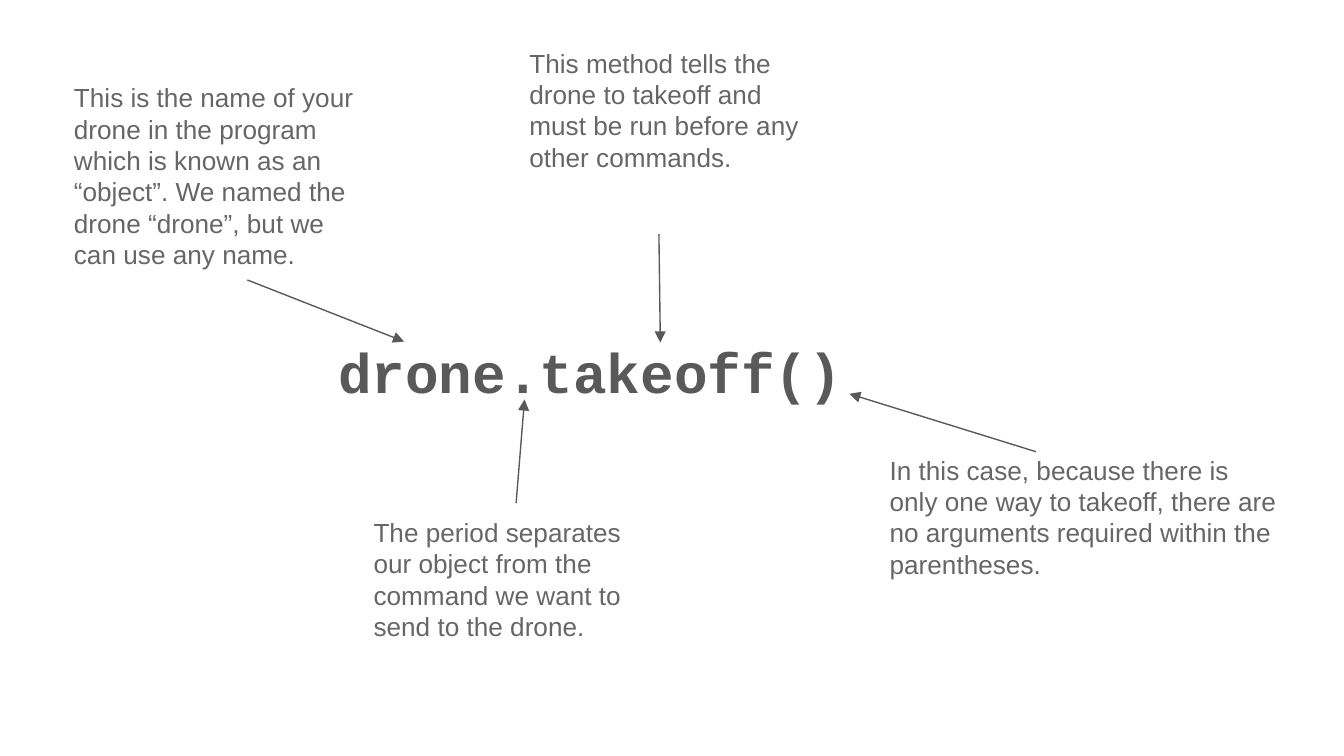
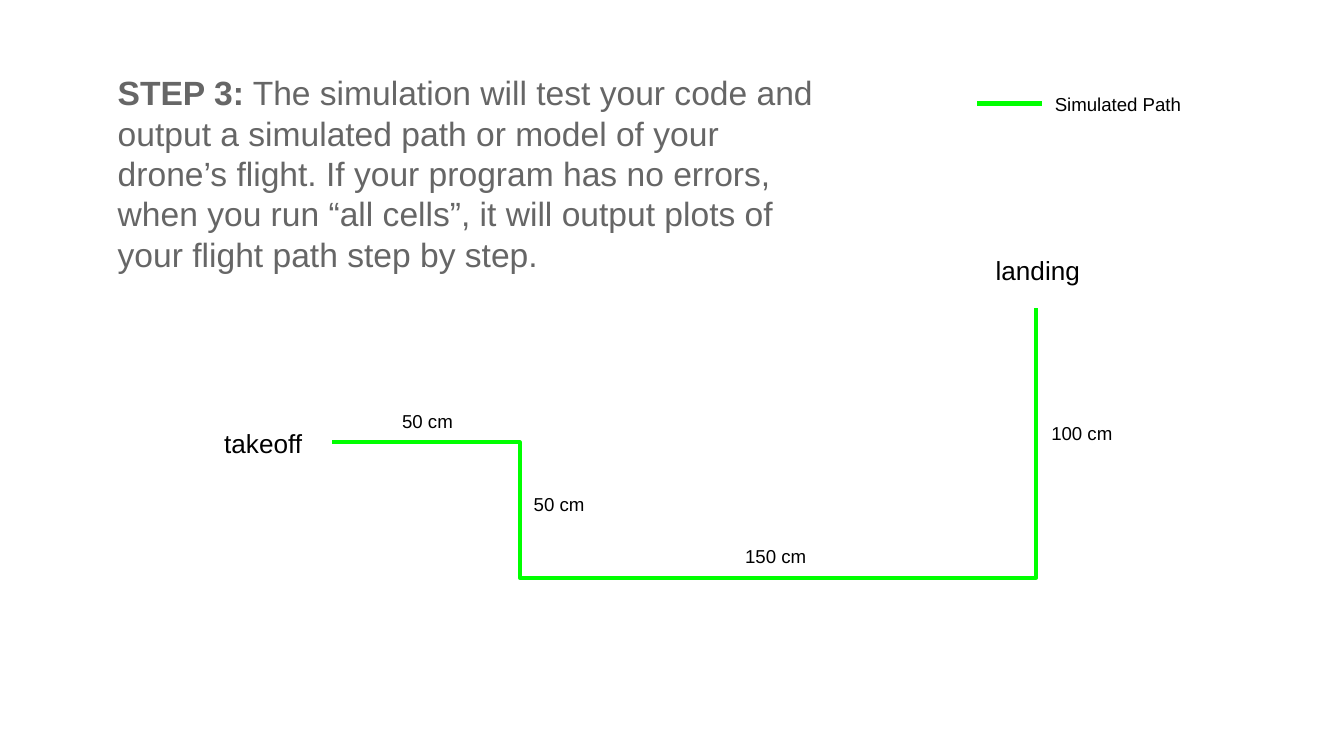
from pptx import Presentation, util as u
from pptx.dml.color import RGBColor
from pptx.enum import shapes, text
from pptx.oxml.ns import qn
from lxml import etree

HUES = {"code": "595959", "note": "666666", "label": "000000", "route": "00FF00"}
FORMS = {
    "code": {"name": "Courier New", "size": u.Pt(30), "bold": True},
    "note": {"name": "Arial", "size": u.Pt(14), "bold": False},
    "step": {"name": "Arial", "size": u.Pt(18), "bold": False},
    "place": {"name": "Arial", "size": u.Pt(14), "bold": False},
    "label": {"name": "Arial", "size": u.Pt(10), "bold": False},
}
TONES = {"code": "code", "note": "note", "step": "note", "place": "label", "label": "label"}
LEFT, MID = text.PP_ALIGN.LEFT, text.PP_ALIGN.CENTER
NOTE = (167, 91.5)
TAG = (65, 30)

NOTES = [
    ("This is the name of your drone in the program which is known as an “object”. "
     "We named the drone “drone”, but we can use any name.",
     (32.5, 36.5, *NOTE), (132.5, 150), (216.5, 183)),
    ("The period separates our object from the command we want to send to the drone.",
     (193, 269.5, *NOTE), None, (281, 214)),
    ("This method tells the drone to takeoff and must be run before any other commands.",
     (276.5, 18, *NOTE), (353, 125.5), (353.75, 183.5)),
    ("In this case, because there is only one way to takeoff, there are no arguments "
     "required within the parentheses.",
     (469.5, 236, 223, 142.5), (555, 242), (455, 211)),
]
STEP = ("STEP 3:", " The simulation will test your code and output a simulated path or model "
        "of your drone’s flight. If your program has no errors, when you run “all cells”, "
        "it will output plots of your flight path step by step.")
ROUTE = [(178, 237), (278.5, 237), (278.5, 309.5), (555, 309.5), (555, 165)]
TAGS = [
    ("takeoff", "place", LEFT, (113, 222)),
    ("50 cm", "label", MID, (196.5, 212.5)),
    ("50 cm", "label", MID, (267, 257)),
    ("150 cm", "label", MID, (383, 284.5)),
    ("100 cm", "label", MID, (547, 219)),
    ("landing", "place", MID, (523.5, 129)),
]


def pts(nums):
    return [u.Pt(n) for n in nums]


def paint(item, form):
    for key, val in form.items():
        setattr(item, key, val)


def write(shape, parts, kind, align=LEFT, space=1.0):
    frame = shape.text_frame
    paint(frame, {"word_wrap": True, "auto_size": text.MSO_AUTO_SIZE.NONE,
                  "vertical_anchor": text.MSO_ANCHOR.TOP})
    for side in ("left", "top", "right", "bottom"):
        setattr(frame, f"margin_{side}", u.Pt(7.2))
    para = frame.paragraphs[0]
    paint(para, {"alignment": align, "line_spacing": space})
    for words in parts:
        run = para.add_run()
        run.text = words
        paint(run.font, FORMS[kind])
        run.font.color.rgb = RGBColor.from_string(HUES[TONES[kind]])


def add_text(slide, parts, kind, box, align=LEFT):
    shape = slide.shapes.add_textbox(*pts(box))
    write(shape, parts, kind, align)
    return shape


def ink(shape, hue, width):
    shape.line.color.rgb = RGBColor.from_string(HUES[hue])
    shape.line.width = u.Pt(width)


def add_line(slide, start, end, hue, width):
    line = slide.shapes.add_connector(shapes.MSO_CONNECTOR.STRAIGHT, *pts((*start, *end)))
    ink(line, hue, width)
    etree.SubElement(line._element.spPr, qn("a:effectLst"))
    return line


def add_arrow(slide, note, start, end):
    line = add_line(slide, start or end, end, "code", 0.75)
    if start is None:
        line.begin_connect(note, 0)
    etree.SubElement(line.line._get_or_add_ln(), qn("a:tailEnd"), type="triangle")


def add_route(slide, spots):
    first, *rest = [pts(spot) for spot in spots]
    pen = slide.shapes.build_freeform(*first)
    pen.add_line_segments(rest, close=False)
    route = pen.convert_to_shape()
    route.shadow.inherit = False
    route.fill.background()
    ink(route, "route", 2.25)


def draw_code(deck):
    slide = deck.slides.add_slide(deck.slide_layouts[5])
    title = slide.shapes.title
    paint(title, dict(zip(("left", "top", "width", "height"), pts((174, 168.5, 340, 67.5)))))
    write(title, ["drone.takeoff()"], "code", space=1.15)
    for words, box, start, end in NOTES:
        note = add_text(slide, [words], "note", box)
        add_arrow(slide, note, start, end)


def draw_flight(deck):
    slide = deck.slides.add_slide(deck.slide_layouts[6])
    add_route(slide, ROUTE)
    step = add_text(slide, STEP, "step", (56, 31.5, 387.5, 124))
    step.text_frame.paragraphs[0].runs[0].font.bold = True
    for words, kind, align, spot in TAGS:
        add_text(slide, [words], kind, (*spot, *TAG), align)
    add_line(slide, (523.5, 55.5), (558, 55.5), "route", 2.25)
    add_text(slide, ["Simulated Path"], "label", (558, 42.5, 98.5, 30))


def main():
    deck = Presentation()
    paint(deck, {"slide_width": u.Pt(720), "slide_height": u.Pt(405)})
    draw_code(deck)
    draw_flight(deck)
    deck.save("out.pptx")


if __name__ == "__main__":
    main()
